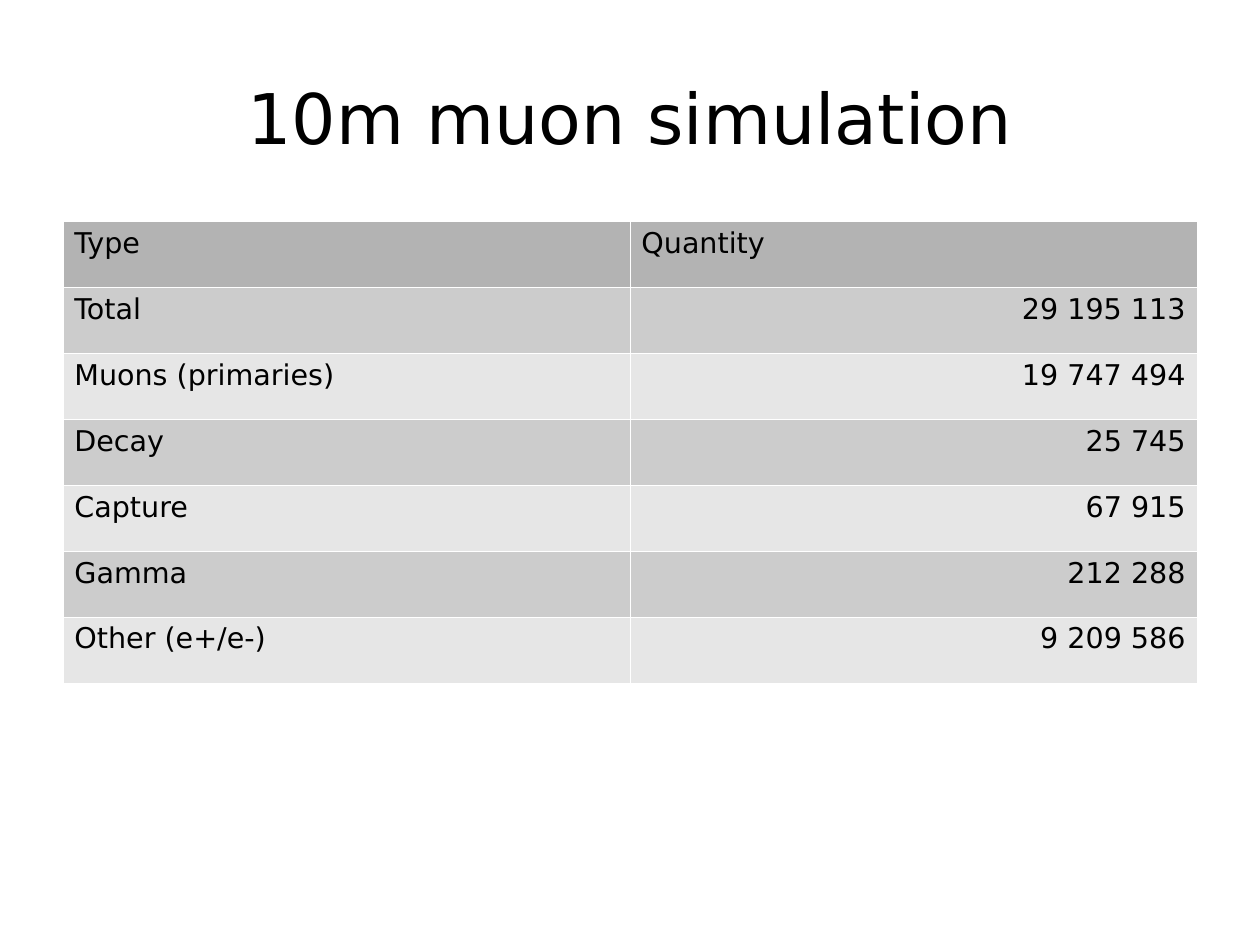
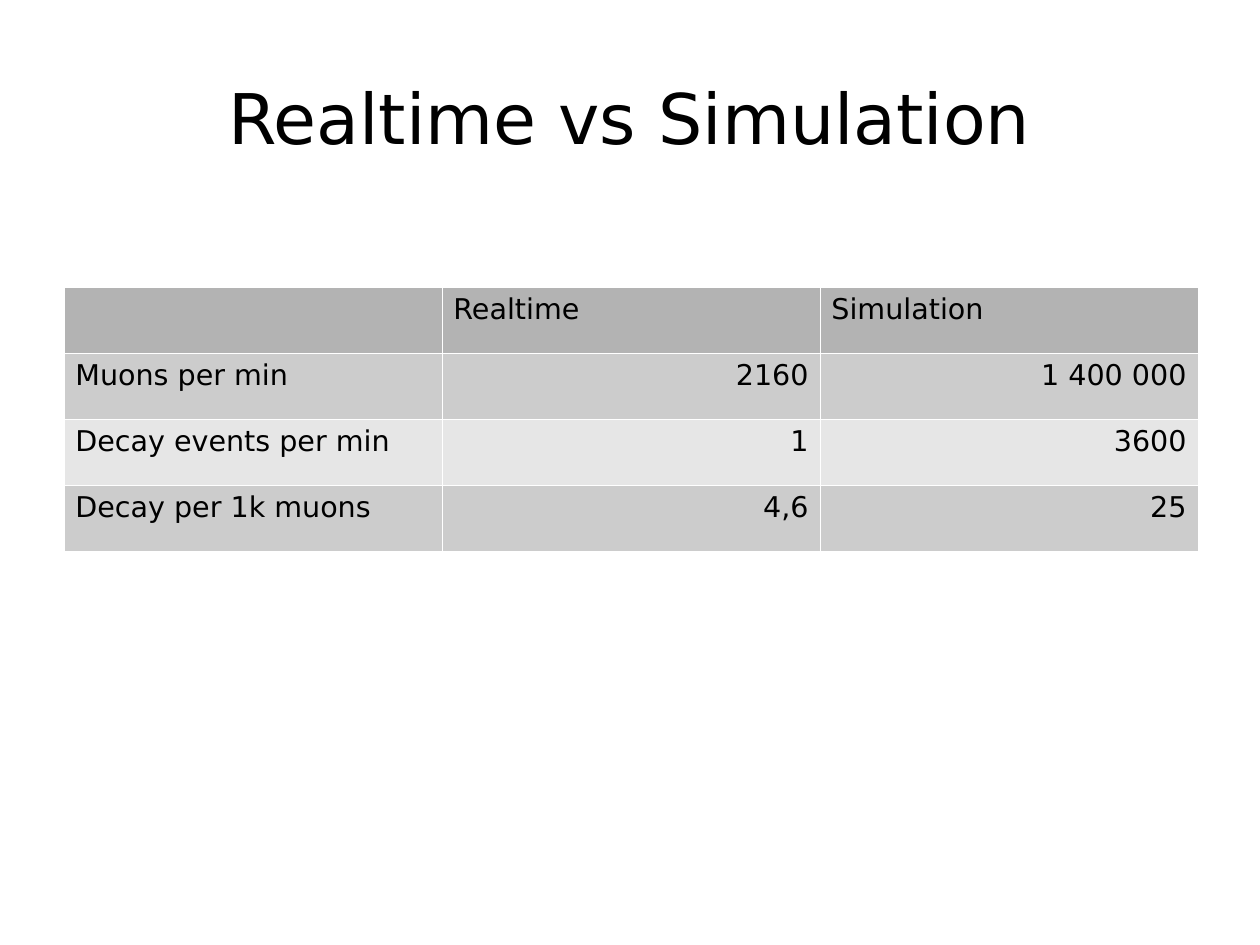
from lxml.etree import SubElement
from pptx import Presentation
from pptx.dml.color import RGBColor
from pptx.enum.text import MSO_ANCHOR as ANCHOR, PP_ALIGN as ALIGN
from pptx.oxml.ns import qn
from pptx.util import Pt

PX = 8000
FONT = "DejaVu Sans"
BLACK, WHITE = "000000", "FFFFFF"
HEADER, BANDS = "B3B3B3", ("CCCCCC", "E6E6E6")
LEFT, WIDTH, ROW_H = 63, 1134, 66


def rgb(value):
    return RGBColor.from_string(value)


def add_run(p, text, size, align):
    p.alignment = align
    r = p.add_run()
    r.text = text
    r.font.name = FONT
    r.font.size = Pt(size)
    r.font.color.rgb = rgb(BLACK)


slides = [
    ("10m muon simulation", LEFT, 221, [
        ("Type", "Quantity"),
        ("Total", "29 195 113"),
        ("Muons (primaries)", "19 747 494"),
        ("Decay", "25 745"),
        ("Capture", "67 915"),
        ("Gamma", "212 288"),
        ("Other (e+/e-)", "9 209 586"),
    ]),
    ("Realtime vs Simulation", LEFT + 1, 287, [
        ("", "Realtime", "Simulation"),
        ("Muons per min", "2160", "1 400 000"),
        ("Decay events per min", "1", "3600"),
        ("Decay per 1k muons", "4,6", "25"),
    ]),
]

prs = Presentation()
prs.slide_width, prs.slide_height = 1260 * PX, 945 * PX

for title, left, top, rows in slides:
    s = prs.slides.add_slide(prs.slide_layouts[6])

    sp = s.shapes.add_textbox(LEFT * PX, 38 * PX, WIDTH * PX, 158 * PX)
    tf = sp.text_frame
    tf.word_wrap = True
    tf.vertical_anchor = ANCHOR.MIDDLE
    tf.margin_left = tf.margin_right = tf.margin_top = tf.margin_bottom = 0
    add_run(tf.paragraphs[0], title, 44, ALIGN.CENTER)

    n_rows, n_cols = len(rows), len(rows[0])
    table = s.shapes.add_table(n_rows, n_cols, left * PX, top * PX,
                               WIDTH * PX, n_rows * ROW_H * PX).table
    table.first_row = table.horz_banding = False

    for i, row in enumerate(rows):
        for j, text in enumerate(row):
            cell = table.cell(i, j)
            tc_pr = cell._tc.get_or_add_tcPr()
            for side in ("a:lnL", "a:lnR", "a:lnT", "a:lnB"):
                ln = SubElement(tc_pr, qn(side), w=str(Pt(0.06)))
                SubElement(SubElement(ln, qn("a:solidFill")), qn("a:srgbClr"), val=WHITE)
            cell.fill.solid()
            cell.fill.fore_color.rgb = rgb(BANDS[(i - 1) % 2] if i else HEADER)
            if text:
                align = ALIGN.RIGHT if i and j else ALIGN.LEFT
                add_run(cell.text_frame.paragraphs[0], text, 18, align)

prs.save("out.pptx")
